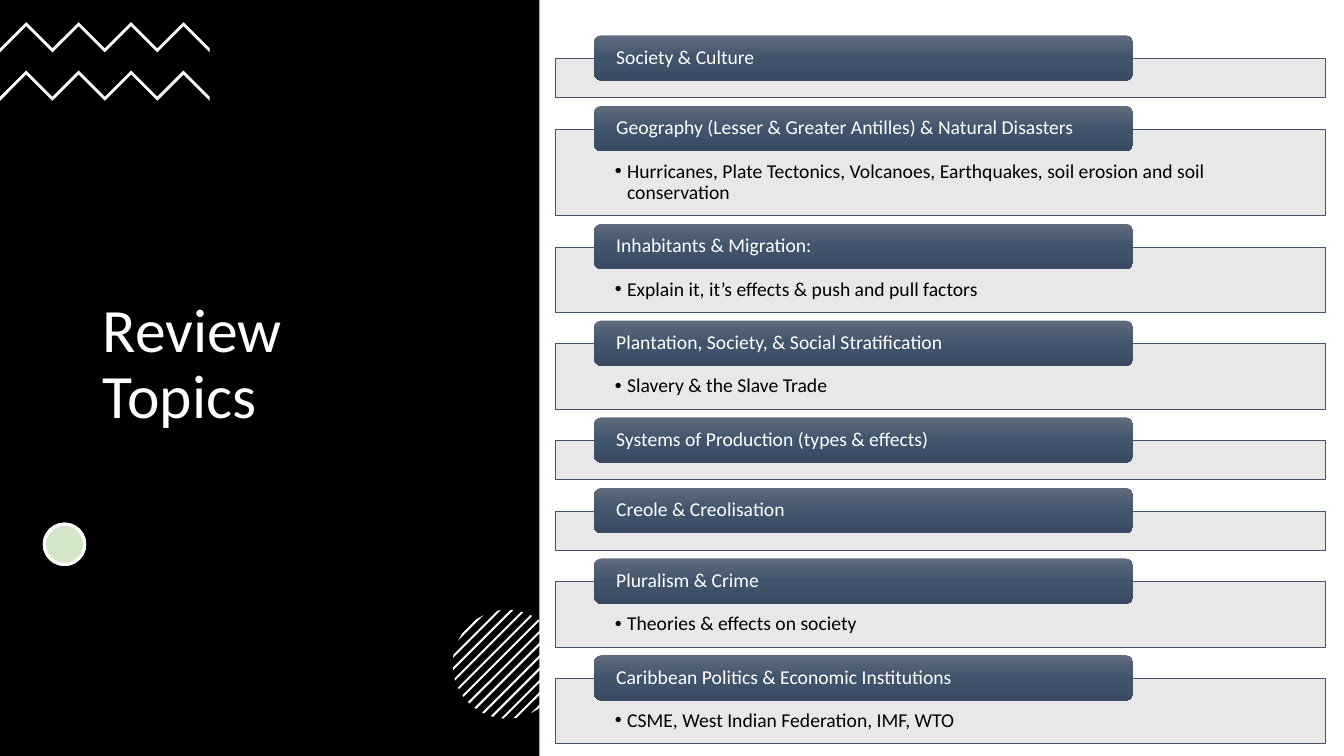
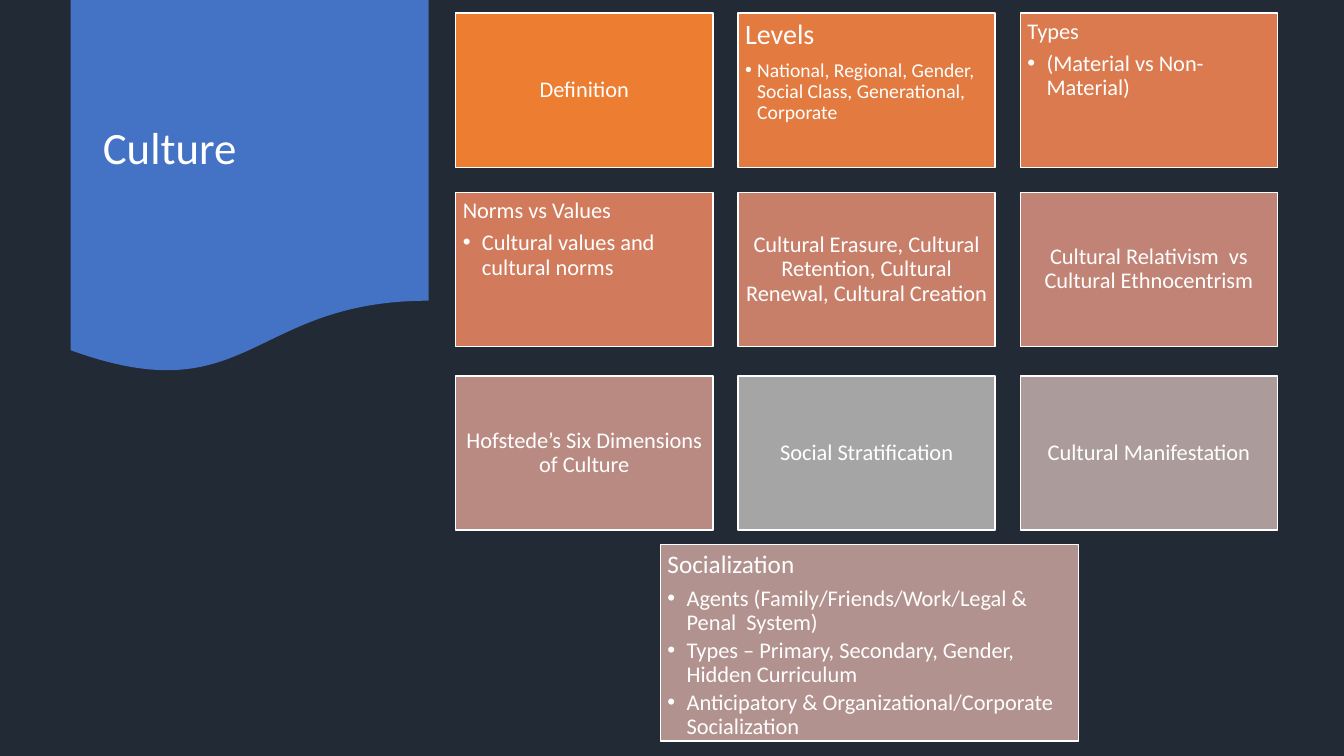
from copy import deepcopy
from dataclasses import dataclass
from math import sqrt

from pptx import Presentation
from pptx.dml.color import RGBColor
from pptx.enum.shapes import MSO_SHAPE
from pptx.enum.text import MSO_ANCHOR, MSO_AUTO_SIZE, PP_ALIGN
from pptx.oxml.ns import qn
from pptx.util import Inches, Pt
from lxml import etree

RECT = MSO_SHAPE.RECTANGLE
PILL = MSO_SHAPE.ROUNDED_RECTANGLE
OVAL = MSO_SHAPE.OVAL
WAVE = MSO_SHAPE.FLOWCHART_DOCUMENT
TOP, MIDDLE = MSO_ANCHOR.TOP, MSO_ANCHOR.MIDDLE
LEFT, CENTER = PP_ALIGN.LEFT, PP_ALIGN.CENTER
NO_AUTOFIT = MSO_AUTO_SIZE.NONE


@dataclass(frozen=True)
class Theme:
    font: str = "Calibri"
    white: str = "FFFFFF"
    black: str = "000000"
    night: str = "222A35"
    blue: str = "4472C4"
    green: str = "70AD47"
    slate: str = "44546A"
    pale: str = "E7E6E6"
    header_stops: tuple = ((0, "606B7D"), (0.5, "42546C"), (1, "394A62"))
    review_title: int = 44
    culture_title: int = 32
    topic: int = 14
    card: int = 16
    line_spacing: float = 0.9
    heading_gap: float = 0.35
    bullet_gap: float = 0.15


THEME = Theme()

# Heading, detail, height of the detail box
TOPICS = (
    ("Society & Culture", None, 0.39),
    ("Geography (Lesser & Greater Antilles) & Natural Disasters",
     "Hurricanes, Plate Tectonics, Volcanoes, Earthquakes, soil erosion and soil conservation", 0.86),
    ("Inhabitants & Migration:", "Explain it, it’s effects & push and pull factors", 0.65),
    ("Plantation, Society, & Social Stratification", "Slavery & the Slave Trade", 0.65),
    ("Systems of Production (types & effects)", None, 0.39),
    ("Creole & Creolisation", None, 0.39),
    ("Pluralism & Crime", "Theories & effects on society", 0.65),
    ("Caribbean Politics & Economic Institutions", "CSME, West Indian Federation, IMF, WTO", 0.65),
)


@dataclass(frozen=True)
class Card:
    color: str
    heading: str
    bullets: tuple = ()
    heading_size: int = THEME.card
    bullet_size: int = THEME.card
    indent: float = 0.19


GRID_CARDS = (
    Card("ED7D31", "Definition"),
    Card("E37A40", "Levels",
         ("National, Regional, Gender, Social Class, Generational, Corporate",), 20, 14, 0.12),
    Card("DA7A4E", "Types", ("(Material vs Non-Material)",)),
    Card("D17B5C", "Norms vs Values", ("Cultural values and cultural norms",)),
    Card("C87F69", "Cultural Erasure, Cultural Retention, Cultural Renewal, Cultural Creation"),
    Card("C08376", "Cultural Relativism  vs Cultural Ethnocentrism"),
    Card("B98A82", "Hofstede’s Six Dimensions of Culture"),
    Card("A5A5A5", "Social Stratification"),
    Card("AB9B9A", "Cultural Manifestation"),
)
SOCIALIZATION = Card("B2928E", "Socialization", (
    "Agents (Family/Friends/Work/Legal & Penal  System)",
    "Types – Primary, Secondary, Gender, Hidden Curriculum",
    "Anticipatory & Organizational/Corporate Socialization",
), 18)


def rgb(color):
    return RGBColor.from_string(color)


def style(shape, fill, line=None, width=1, opacity=None):
    """Set a flat fill and an optional outline; opacity is in percent."""
    shape.shadow.inherit = False
    shape.fill.solid()
    shape.fill.fore_color.rgb = rgb(fill)
    if opacity is not None:
        color = shape.fill._xPr.find(qn("a:solidFill"))[0]
        etree.SubElement(color, qn("a:alpha"), val=str(opacity * 1000))
    if line:
        shape.line.color.rgb = rgb(line)
        shape.line.width = Pt(width)
    else:
        shape.line.fill.background()


def add_block(slide, preset, box, fill, **look):
    shape = slide.shapes.add_shape(preset, *map(Inches, box))
    style(shape, fill, **look)
    return shape


def add_outline(slide, points, fill):
    """Draw a closed, filled polygon through points given in inches."""
    start, *rest = [(Inches(x), Inches(y)) for x, y in points]
    builder = slide.shapes.build_freeform(*start)
    builder.add_line_segments(rest, close=True)
    style(builder.convert_to_shape(), fill)


def shade_header(header):
    """Fill from light at the top to dark at the bottom."""
    header.fill.gradient()
    stop_list = header.fill._xPr.find(qn("a:gradFill")).find(qn("a:gsLst"))
    stop_list.append(deepcopy(stop_list[0]))
    header.fill.gradient_angle = 270
    for stop, (position, color) in zip(header.fill.gradient_stops, THEME.header_stops):
        stop.position = position
        stop.color.rgb = rgb(color)


def set_frame(shape, insets, anchor):
    frame = shape.text_frame
    frame.word_wrap = True
    frame.auto_size = NO_AUTOFIT
    frame.vertical_anchor = anchor
    (frame.margin_left, frame.margin_top,
     frame.margin_right, frame.margin_bottom) = map(Inches, insets)
    return frame


def write(paragraph, text, size, color=THEME.white, align=LEFT, bullet_indent=None):
    paragraph.text = text
    gap = THEME.heading_gap
    if bullet_indent:
        gap = THEME.bullet_gap
        properties = paragraph._p.get_or_add_pPr()
        properties.set("marL", str(Inches(bullet_indent)))
        properties.set("indent", str(-Inches(bullet_indent)))
        etree.SubElement(properties, qn("a:buFont"), typeface="Arial")
        etree.SubElement(properties, qn("a:buChar"), char="•")
    paragraph.alignment = align
    paragraph.line_spacing = THEME.line_spacing
    paragraph.space_after = Pt(round(size * gap, 1))
    for run in paragraph.runs:
        run.font.name = THEME.font
        run.font.size = Pt(size)
        run.font.color.rgb = rgb(color)


def add_titled_slide(deck, background, title_text, title_box, size, panel):
    """Add a slide whose title stands on a coloured panel (preset, box, colour)."""
    slide = deck.slides.add_slide(deck.slide_layouts[5])
    slide.background.fill.solid()
    slide.background.fill.fore_color.rgb = rgb(background)
    title = slide.shapes.title
    title.left, title.top, title.width, title.height = map(Inches, title_box)
    frame = set_frame(title, (0.1, 0.05, 0.1, 0.05), MIDDLE)
    write(frame.paragraphs[0], title_text, size)
    frame.paragraphs[0].space_after = Pt(0)
    title.element.addprevious(add_block(slide, *panel).element)
    return slide


def add_zigzag(slide, top):
    step, rise, thickness = 0.26, 0.26, 0.04
    upper = [(i * step, top + (0 if i % 2 else rise)) for i in range(9)]
    lower = [(x, y + thickness) for x, y in reversed(upper)]
    add_outline(slide, upper + lower, THEME.white)


def add_striped_disc(slide):
    """Fill a circle with evenly spaced stripes that rise to the right."""
    center_x, center_y, radius = 5.03, 6.59, 0.54
    pitch, stripe = 0.09, 0.02
    pitch = (radius - stripe) / 6

    def chord(offset):
        half = sqrt(radius ** 2 - offset ** 2)
        return [(center_x + (offset + side * half) / sqrt(2),
                 center_y + (offset - side * half) / sqrt(2)) for side in (-1, 1)]

    for i in range(-6, 7):
        near, far = chord(i * pitch - stripe / 2), chord(i * pitch + stripe / 2)
        add_outline(slide, near + far[::-1], THEME.white)


def add_topic(slide, top, heading, detail, height):
    box = add_block(slide, RECT, (5.51, top + 0.23, 7.64, height), THEME.pale,
                    line=THEME.slate, width=0.5, opacity=90)
    if detail:
        frame = set_frame(box, (0.59, 0.32, 0.59, 0.11), TOP)
        write(frame.paragraphs[0], detail, THEME.topic, THEME.black, bullet_indent=0.12)
    header = add_block(slide, PILL, (5.89, top, 5.35, 0.45), THEME.slate)
    shade_header(header)
    frame = set_frame(header, (0.2, 0, 0.2, 0), MIDDLE)
    write(frame.paragraphs[0], heading, THEME.topic)


def add_card(slide, box, card):
    """Centre a lone heading; start at the top left when bullets follow."""
    shape = add_block(slide, RECT, box, card.color, line=THEME.white)
    frame = set_frame(shape, (0.07,) * 4, TOP if card.bullets else MIDDLE)
    write(frame.paragraphs[0], card.heading, card.heading_size,
          align=LEFT if card.bullets else CENTER)
    for bullet in card.bullets:
        write(frame.add_paragraph(), bullet, card.bullet_size, bullet_indent=card.indent)


def build_review(deck):
    slide = add_titled_slide(deck, THEME.white, "Review Topics", (0.92, 1.31, 3.5, 4.63),
                             THEME.review_title, (RECT, (0, 0, 5.35, 7.5), THEME.black))
    for top in (0.22, 0.7):
        add_zigzag(slide, top)
    for color, opacity in ((THEME.white, None), (THEME.green, 30)):
        add_block(slide, OVAL, (0.44, 5.2, 0.4, 0.4), color,
                  line=THEME.white, width=2.25, opacity=opacity)
    add_striped_disc(slide)
    top = 0.35
    for heading, detail, height in TOPICS:
        add_topic(slide, top, heading, detail, height)
        top += height + 0.31


def build_culture(deck):
    slide = add_titled_slide(deck, THEME.night, "Culture", (0.92, 0.19, 3.11, 2.59),
                             THEME.culture_title, (WAVE, (0.7, 0, 3.55, 3.72), THEME.blue))
    row_tops = (0.13, 1.91, 3.73)
    for i, card in enumerate(GRID_CARDS):
        row, column = divmod(i, 3)
        add_card(slide, (4.52 + 2.8 * column, row_tops[row], 2.55, 1.53), card)
    add_card(slide, (6.55, 5.4, 4.15, 1.95), SOCIALIZATION)


def main():
    deck = Presentation()
    deck.slide_width, deck.slide_height = Inches(13.33), Inches(7.5)
    build_review(deck)
    build_culture(deck)
    deck.save("out.pptx")


if __name__ == "__main__":
    main()
